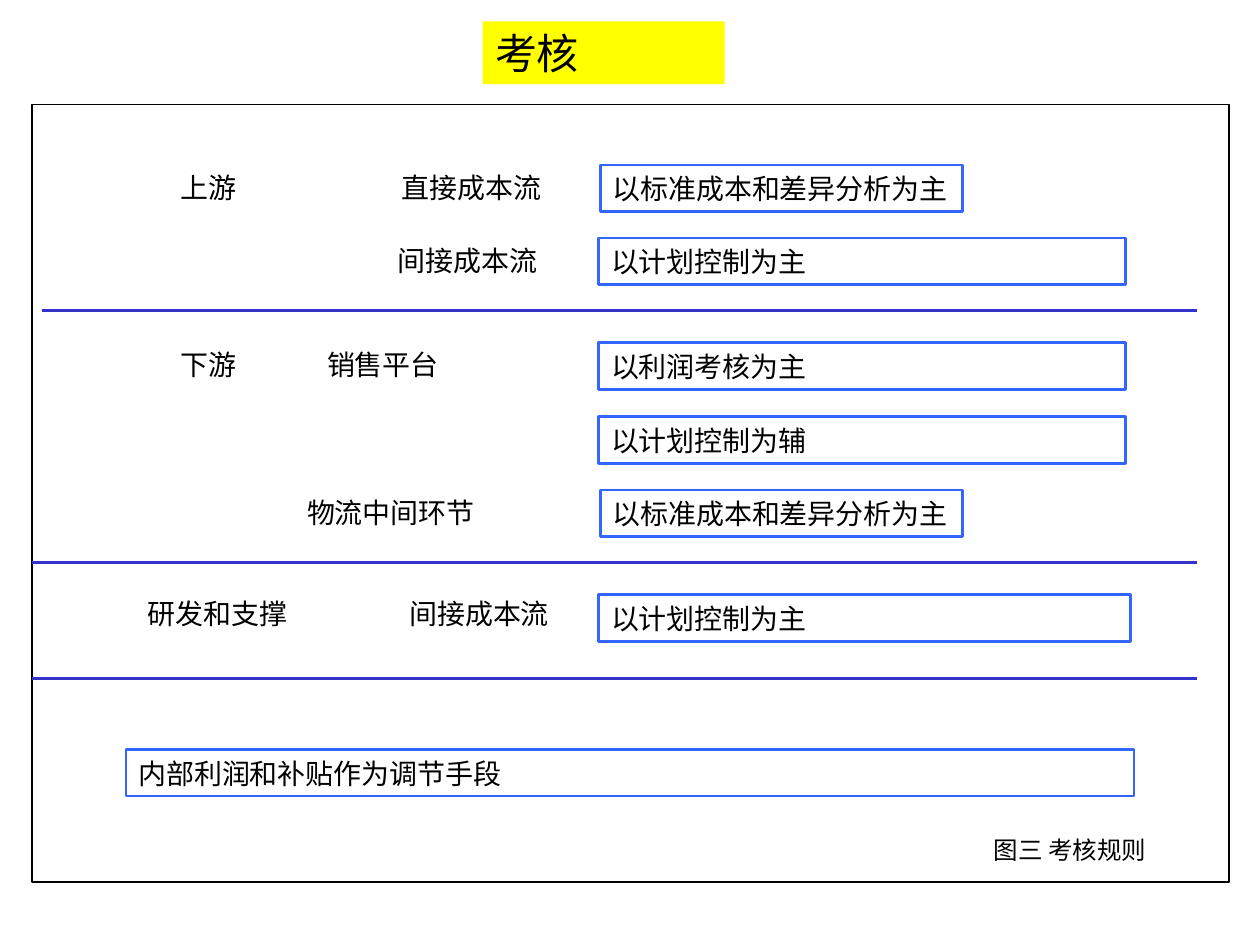
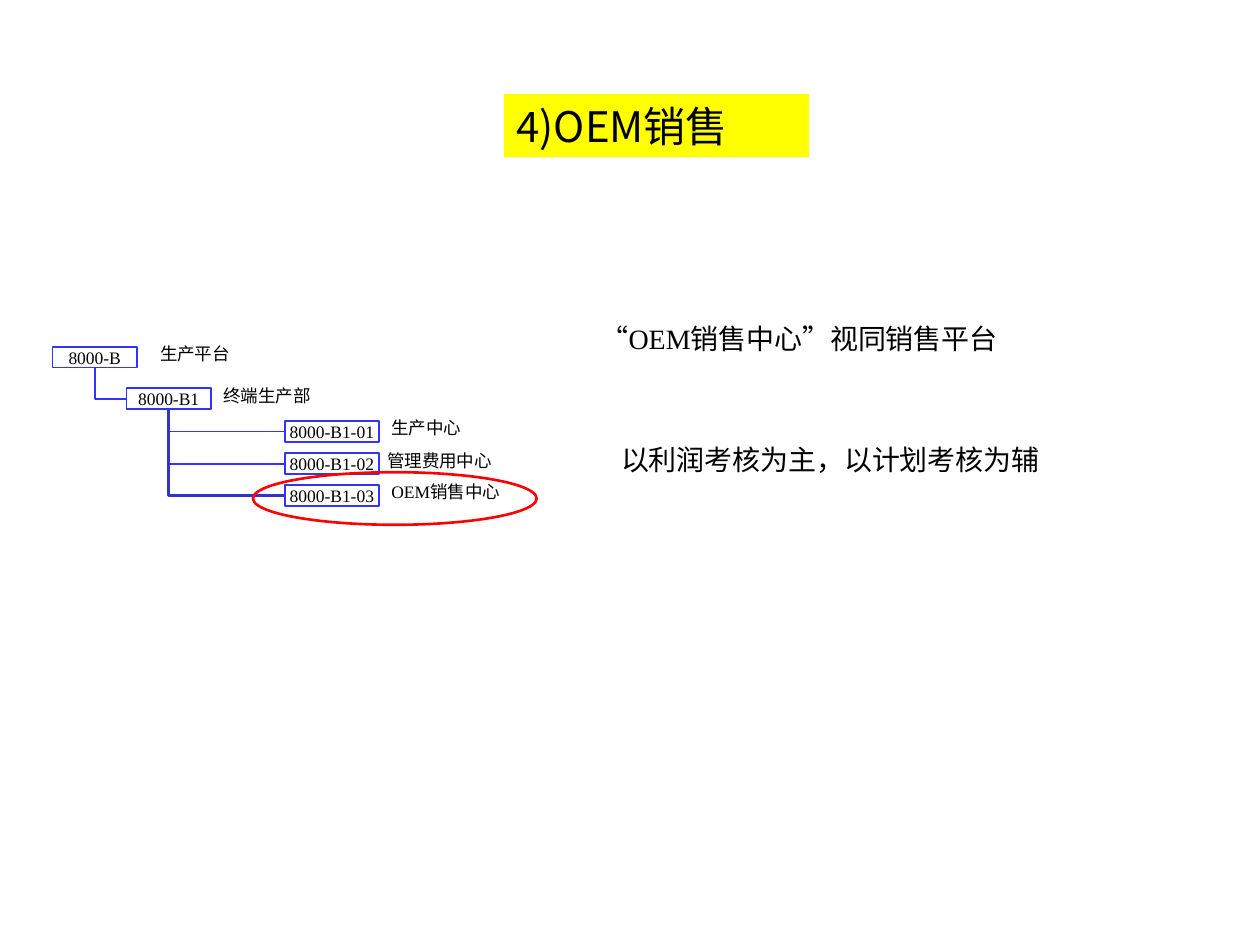
from lxml.etree import SubElement
from pptx import Presentation
from pptx.dml.color import RGBColor
from pptx.enum.shapes import MSO_CONNECTOR, MSO_SHAPE
from pptx.enum.text import MSO_ANCHOR, MSO_AUTO_SIZE, PP_ALIGN
from pptx.oxml.ns import qn
from pptx.util import Cm, Pt

COLORS = {
    "text": "000000",
    "panel": "FFFFFF",
    "title": "FFFF00",
    "rule": "3366FF",
    "divider": "3333CC",
    "node": "3333FF",
    "highlight": "FF0000",
}
SERIF = "Times New Roman"
SANS = "Noto Sans CJK SC"
ROW_HEIGHT = 0.94
NODE_HEIGHT = 0.42
BOTTOM, LEFT = 2, 1  # connection sites of a rectangle


def color(name):
    return RGBColor.from_string(COLORS[name])


def write(shape, text, size, font=SERIF, align=PP_ALIGN.LEFT,
          anchor=MSO_ANCHOR.MIDDLE, wrap=True):
    frame = shape.text_frame
    frame.word_wrap = wrap
    frame.vertical_anchor = anchor
    frame.margin_left = frame.margin_right = Cm(0.25)
    frame.margin_top = frame.margin_bottom = Cm(0.13)
    paragraph = frame.paragraphs[0]
    paragraph.text = text
    paragraph.alignment = align
    paragraph.font.size = Pt(size)
    paragraph.font.color.rgb = color("text")
    paragraph.font.name = font
    defaults = paragraph._p.pPr.find(qn("a:defRPr"))
    SubElement(defaults, qn("a:ea")).set("typeface", SANS)


def add_outline(slide, kind, left, top, width, height,
                fill=None, line=None, weight=1.5):
    shape = slide.shapes.add_shape(kind, Cm(left), Cm(top), Cm(width), Cm(height))
    shape.shadow.inherit = False
    if fill:
        shape.fill.solid()
        shape.fill.fore_color.rgb = color(fill)
    else:
        shape.fill.background()
    if line:
        shape.line.color.rgb = color(line)
        shape.line.width = Pt(weight)
    else:
        shape.line.fill.background()
    return shape


def add_title(slide, text, left, top, width):
    band = add_outline(slide, MSO_SHAPE.RECTANGLE, left, top, width, 1.27, fill="title")
    write(band, text, 24, font=SANS)


def add_rule_box(slide, text, left, top, width):
    box = add_outline(slide, MSO_SHAPE.RECTANGLE, left, top, width, ROW_HEIGHT,
                      line="rule")
    write(box, text, 16)


def add_text(slide, text, left, top, width, height=ROW_HEIGHT, size=16, **style):
    box = slide.shapes.add_textbox(Cm(left), Cm(top), Cm(width), Cm(height))
    write(box, text, size, **style)
    return box


def add_label(slide, text, left, top, width, height=ROW_HEIGHT, size=16):
    """Add centred text on one line, in a box that grows with it."""
    label = add_text(slide, text, left, top, width, height, size,
                     align=PP_ALIGN.CENTER, wrap=False)
    label.text_frame.auto_size = MSO_AUTO_SIZE.SHAPE_TO_FIT_TEXT


def style_line(connector, line, weight):
    connector.line.color.rgb = color(line)
    connector.line.width = Pt(weight)
    SubElement(connector._element.spPr, qn("a:effectLst"))


def add_divider(slide, left, top):
    divider = slide.shapes.add_connector(
        MSO_CONNECTOR.STRAIGHT, Cm(left), Cm(top), Cm(24.13), Cm(top))
    style_line(divider, "divider", 1.5)


def add_node(slide, code, name, left, top, width, name_left, name_width):
    node = add_outline(slide, MSO_SHAPE.RECTANGLE, left, top, width, NODE_HEIGHT,
                       line="node", weight=1)
    write(node, code, 10, align=PP_ALIGN.CENTER, wrap=False)
    add_label(slide, name, name_left, top - 0.21, name_width, 0.69, 10)
    return node


def add_branch(slide, parent, child, line="node", weight=1):
    """Run down from the parent's bottom, then right to the child's left side."""
    x = parent.left + parent.width // 2
    y = parent.top + parent.height
    across = child.left - x
    down = child.top + child.height // 2 - y
    branch = slide.shapes.add_connector(MSO_CONNECTOR.ELBOW, x, y, x + across, y + down)
    branch.begin_connect(parent, BOTTOM)
    branch.end_connect(child, LEFT)
    properties = branch._element.spPr
    properties.find(qn("a:prstGeom")).set("prst", "bentConnector2")
    frame = properties.find(qn("a:xfrm"))
    frame.set("rot", str(270 * 60000))
    frame.set("flipH", "1")
    # The frame is stored unrotated, so its sides are swapped about the centre.
    branch.left, branch.top = x + (across - down) // 2, y + (down - across) // 2
    branch.width, branch.height = down, across
    style_line(branch, line, weight)


def build_assessment(slide):
    add_outline(slide, MSO_SHAPE.RECTANGLE, 0.64, 2.11, 24.13, 15.67,
                fill="panel", line="text", weight=1)
    add_title(slide, "考核", 9.73, 0.43, 4.88)

    for text, left, top, width in (
        ("上游", 3.36, 3.3, 1.7),
        ("直接成本流", 7.81, 3.3, 3.4),
        ("间接成本流", 7.73, 4.78, 3.4),
        ("下游", 3.36, 6.88, 1.7),
        ("销售平台", 6.3, 6.88, 2.84),
        ("物流中间环节", 5.9, 9.86, 3.96),
        ("研发和支撑", 2.68, 11.89, 3.4),
        ("间接成本流", 7.96, 11.89, 3.4),
    ):
        add_label(slide, text, left, top, width)

    for text, top, width in (
        ("以计划控制为主", 4.8, 10.62),
        ("以利润考核为主", 6.91, 10.62),
        ("以计划控制为辅", 8.4, 10.62),
        ("以计划控制为主", 11.99, 10.72),
    ):
        add_rule_box(slide, text, 12.07, top, width)
    for top in (3.33, 9.88):
        add_rule_box(slide, "以标准成本和差异分析为主", 12.1, top, 7.3)
    add_rule_box(slide, "内部利润和补贴作为调节手段", 2.54, 15.11, 20.32)

    for left, top in ((0.84, 6.26), (0.64, 11.34), (0.64, 13.68)):
        add_divider(slide, left, top)
    add_text(slide, "图三 考核规则", 19.25, 16.71, 4.65, 0.86, 14,
             align=PP_ALIGN.CENTER, anchor=MSO_ANCHOR.TOP)


def build_oem_sales(slide):
    add_title(slide, "4)OEM销售", 10.16, 1.9, 6.15)

    platform = add_node(slide, "8000-B", "生产平台", 1.06, 6.99, 1.7, 2.93, 2.0)
    department = add_node(slide, "8000-B1", "终端生产部", 2.55, 7.83, 1.7, 4.2, 2.36)
    centers = [
        add_node(slide, f"8000-B1-0{number}", name, 5.74, top, 1.9,
                 name_left, name_width)
        for number, (name, top, name_left, name_width) in enumerate((
            ("生产中心", 8.49, 7.59, 2.0),
            ("管理费用中心", 9.14, 7.51, 2.7),
            ("OEM销售中心", 9.78, 7.55, 2.87),
        ), start=1)
    ]
    add_branch(slide, platform, department)
    for center in centers[:-1]:
        add_branch(slide, department, center)
    add_branch(slide, department, centers[-1], line="divider", weight=1.5)
    add_outline(slide, MSO_SHAPE.OVAL, 5.1, 9.52, 5.72, 1.06, line="highlight")

    add_text(slide, "“OEM销售中心”视同销售平台", 11.86, 6.35, 9.53)
    add_text(slide, "以利润考核为主，以计划考核为辅", 12.27, 8.79, 9.09)


def main():
    deck = Presentation()
    deck.slide_width, deck.slide_height = Cm(25.4), Cm(19.05)
    blank = deck.slide_layouts[6]
    for build in (build_assessment, build_oem_sales):
        build(deck.slides.add_slide(blank))
    deck.save("out.pptx")


if __name__ == "__main__":
    main()
